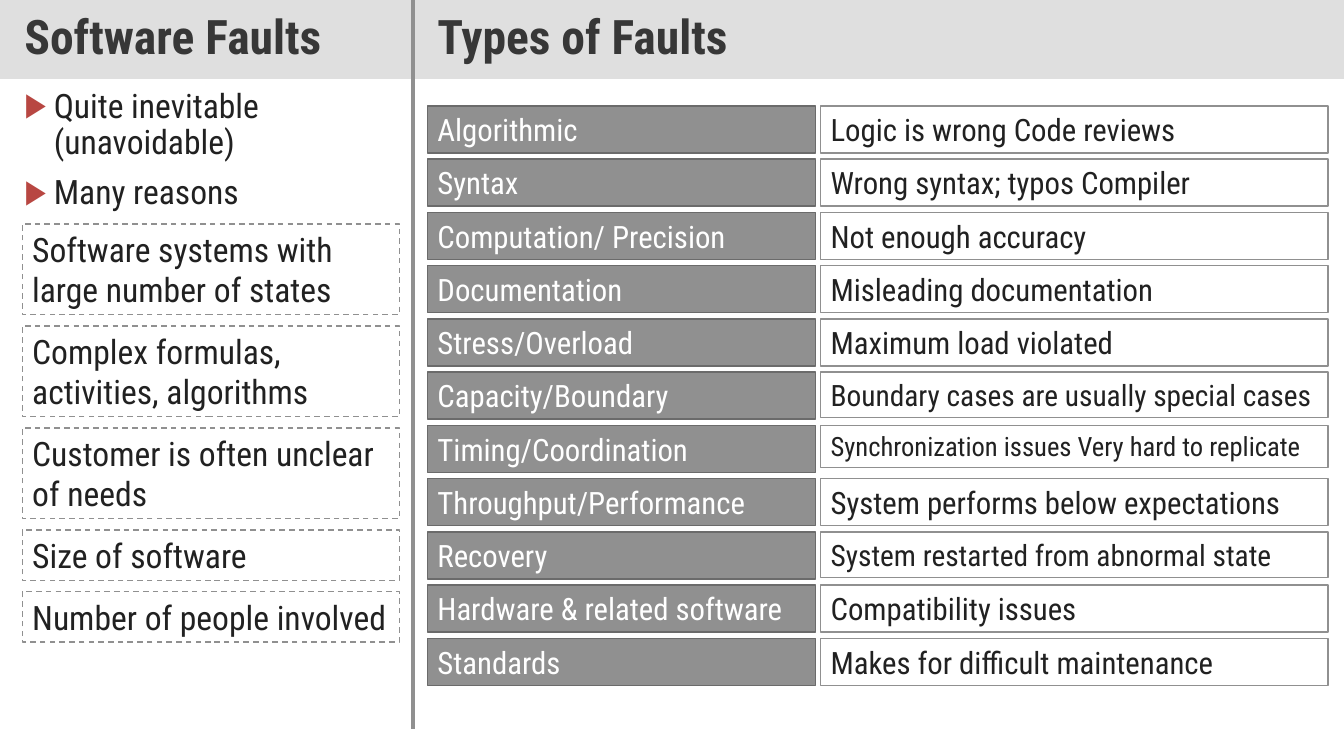
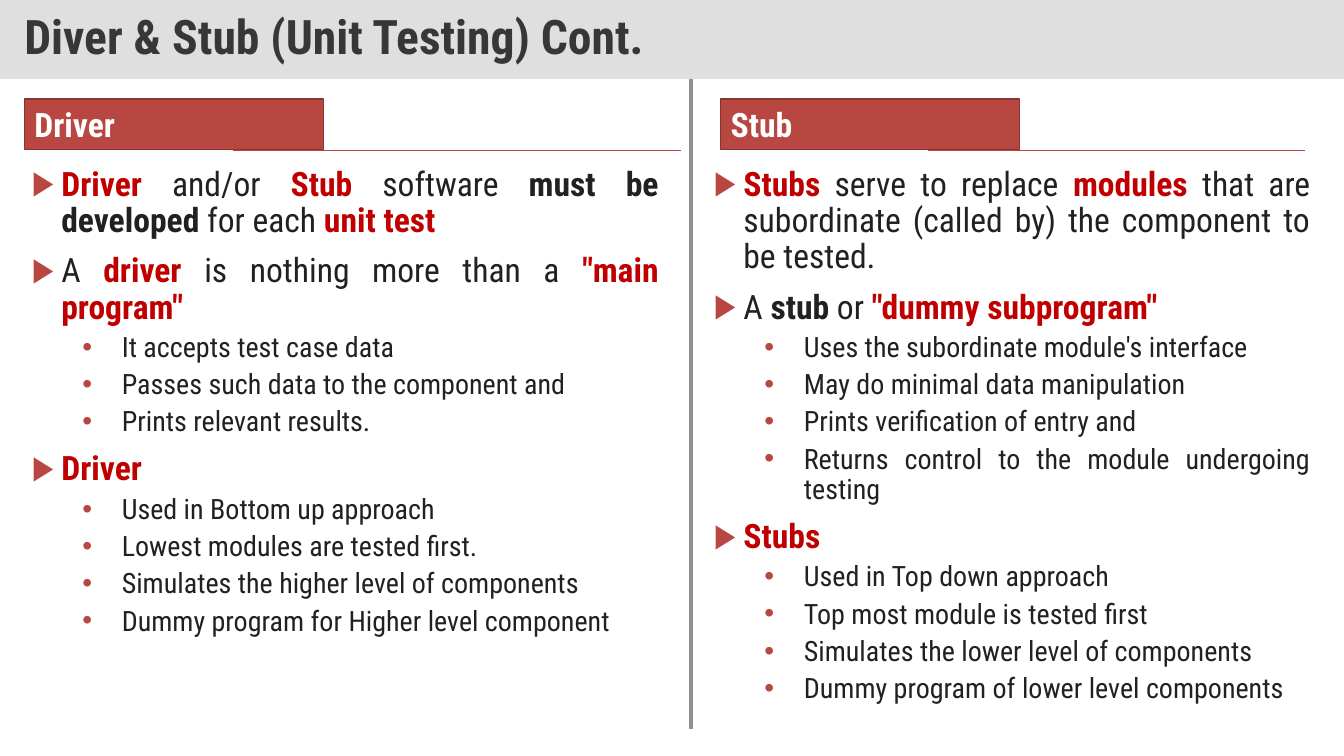
from pptx import Presentation
from pptx.dml.color import RGBColor
from pptx.enum.dml import MSO_LINE
from pptx.enum.shapes import MSO_CONNECTOR, MSO_SHAPE
from pptx.enum.text import MSO_ANCHOR, MSO_AUTO_SIZE, PP_ALIGN
from pptx.oxml.ns import qn
from pptx.util import Inches, Pt
from lxml import etree

RECTANGLE = MSO_SHAPE.RECTANGLE
STRAIGHT = MSO_CONNECTOR.STRAIGHT
DASH = MSO_LINE.DASH
TOP, MIDDLE = MSO_ANCHOR.TOP, MSO_ANCHOR.MIDDLE
LEFT, JUSTIFY = PP_ALIGN.LEFT, PP_ALIGN.JUSTIFY
NO_FIT = MSO_AUTO_SIZE.NONE

COLUMNS, ROWS = 160, 90
SLIDE_WIDTH, SLIDE_HEIGHT = Inches(13.33), Inches(7.5)
CONTENT_BOTTOM = 86.8

FONT = "Roboto Condensed"
INK, HEADING, WHITE = "212121", "373737", "FFFFFF"
GRAY, DARK_GRAY, BAND = "909090", "6B6B6B", "C0C0C0"
RED, DARK_RED, KEY_RED = "B84742", "883531", "C00000"
PLAIN, STRONG, KEY = (INK, False), (INK, True), (KEY_RED, True)
TITLE_SIZE = 34

# marker, left indent, hanging indent, text size, space before
LEVELS = [("▶", 3.5, 3.5, 24, 10), ("•", 10.7, 4.7, 20, 5)]

REASONS = [
    ("Software systems with large number of states", 2),
    ("Complex formulas, activities, algorithms", 2),
    ("Customer is often unclear of needs", 2),
    ("Size of software", 1),
    ("Number of people involved", 1),
]
FAULTS = [
    ("Algorithmic", "Logic is wrong Code reviews", 22),
    ("Syntax", "Wrong syntax; typos Compiler", 22),
    ("Computation/ Precision", "Not enough accuracy", 22),
    ("Documentation", "Misleading documentation", 22),
    ("Stress/Overload", "Maximum load violated", 22),
    ("Capacity/Boundary", "Boundary cases are usually special cases", 21),
    ("Timing/Coordination", "Synchronization issues Very hard to replicate", 19),
    ("Throughput/Performance", "System performs below expectations", 22),
    ("Recovery", "System restarted from abnormal state", 21),
    ("Hardware & related software", "Compatibility issues", 22),
    ("Standards", "Makes for difficult maintenance", 22),
]


def point(*spans):
    return 0, spans


def detail(text):
    return 1, [(text, PLAIN)]


INTRODUCTION = [
    point(("Quite inevitable (unavoidable)", PLAIN)),
    point(("Many reasons", PLAIN)),
]
DRIVER = [
    point(("Driver", KEY), (" and/or ", PLAIN), ("Stub ", KEY), ("software ", PLAIN),
          ("must be developed ", STRONG), ("for each ", PLAIN), ("unit test", KEY)),
    point(("A ", PLAIN), ("driver ", KEY), ("is nothing more than a ", PLAIN),
          ('"main program" ', KEY)),
    detail("It accepts test case data"),
    detail("Passes such data to the component and"),
    detail("Prints relevant results."),
    point(("Driver", KEY)),
    detail("Used in Bottom up approach"),
    detail("Lowest modules are tested first."),
    detail("Simulates the higher level of components"),
    detail("Dummy program for Higher level component"),
]
STUB = [
    point(("Stubs", KEY), (" serve to replace ", PLAIN), ("modules ", KEY),
          ("that are subordinate (called by) the component to be tested.", PLAIN)),
    point(("A ", PLAIN), ("stub", STRONG), (" or ", PLAIN), ('"dummy subprogram" ', KEY)),
    detail("Uses the subordinate module's interface"),
    detail("May do minimal data manipulation"),
    detail("Prints verification of entry and"),
    detail("Returns control to the module undergoing testing"),
    point(("Stubs", KEY)),
    detail("Used in Top down approach"),
    detail("Top most module is tested first"),
    detail("Simulates the lower level of components"),
    detail("Dummy program of lower level components"),
]


def across(columns):
    return round(SLIDE_WIDTH * columns / COLUMNS)


def down(rows):
    return round(SLIDE_HEIGHT * rows / ROWS)


def area(left, top, width, height):
    return across(left), down(top), across(width), down(height)


def color(value):
    return RGBColor.from_string(value)


def place(shape, *cells):
    shape.left, shape.top, shape.width, shape.height = area(*cells)


def paint(fill, value):
    fill.solid()
    fill.fore_color.rgb = color(value)


def add_span(para, text, size, style):
    span = para.add_run()
    span.text = text
    span.font.name = FONT
    span.font.size = Pt(size)
    span.font.color.rgb, span.font.bold = color(style[0]), style[1]


def write_heading(frame, text):
    para = frame.paragraphs[0]
    para.alignment = LEFT
    para.line_spacing = 0.9
    add_span(para, text, TITLE_SIZE, (HEADING, True))


def add_title(page, text):
    title = page.shapes.title
    place(title, 0, 0, COLUMNS, 9.4)
    paint(title.fill, BAND)
    tint = title.fill._xPr.find(".//" + qn("a:srgbClr"))
    etree.SubElement(tint, qn("a:alpha"), val="50000")
    frame = title.text_frame
    frame.auto_size = NO_FIT
    frame.vertical_anchor = MIDDLE
    frame.margin_left = frame.margin_right = across(2.9)
    frame.margin_top = frame.margin_bottom = down(1.4)
    write_heading(frame, text)


def add_side_title(page, text, *cells):
    frame = page.shapes.add_textbox(*area(*cells)).text_frame
    frame.word_wrap = False
    write_heading(frame, text)


def set_bullet(para, marker, left, hang):
    properties = para._p.get_or_add_pPr()
    properties.set("marL", str(across(left)))
    properties.set("indent", str(-across(hang)))
    tint = etree.SubElement(properties, qn("a:buClr"))
    etree.SubElement(tint, qn("a:srgbClr"), val=RED)
    etree.SubElement(properties, qn("a:buChar"), char=marker)


def fill_list(body, items, alignment, *cells):
    place(body, *cells)
    frame = body.text_frame
    frame.auto_size = NO_FIT
    frame.vertical_anchor = TOP
    for index, (level, spans) in enumerate(items):
        marker, left, hang, size, before = LEVELS[level]
        para = frame.add_paragraph() if index else frame.paragraphs[0]
        set_bullet(para, marker, left, hang)
        para.level = level
        para.alignment = alignment
        para.line_spacing = 0.9
        para.space_before = Pt(before if index else 0)
        for text, style in spans:
            add_span(para, text, size, style)


def box_height(size, lines=1):
    return 1.2 + lines * size / 5


def add_box(page, text, left, top, width, fill, line, style=PLAIN, size=24, lines=1, dash=None):
    cells = area(left, top, width, box_height(size, lines))
    box = page.shapes.add_shape(RECTANGLE, *cells)
    box.shadow.inherit = False
    paint(box.fill, fill)
    box.line.color.rgb = color(line)
    box.line.width = Pt(1)
    if dash:
        box.line.dash_style = dash
    frame = box.text_frame
    frame.word_wrap = True
    frame.vertical_anchor = TOP
    frame.paragraphs[0].alignment = LEFT
    add_span(frame.paragraphs[0], text, size, style)


def add_rule(page, start, end, value, weight):
    ends = across(start[0]), down(start[1]), across(end[0]), down(end[1])
    rule = page.shapes.add_connector(STRAIGHT, *ends)
    rule.line.color.rgb = color(value)
    rule.line.width = Pt(weight)
    etree.SubElement(rule._element.spPr, qn("a:effectLst"))


def add_divider(page, column, top):
    add_rule(page, (column, top), (column, CONTENT_BOTTOM), GRAY, 3)


def add_section(page, text, left, rule_start, rule_end):
    add_box(page, text, left, 11.8, 35.6, RED, DARK_RED, (WHITE, True))
    add_rule(page, (rule_start, 17.9), (rule_end, 17.9), RED, 1)


def build_faults(deck):
    page = deck.slides.add_slide(deck.slide_layouts[1])
    add_title(page, "Software Faults")
    fill_list(page.placeholders[1], INTRODUCTION, LEFT, 1.7, 10, 45.8, 13.3)
    top = 26.65
    for text, lines in REASONS:
        add_box(page, text, 2.65, top, 44.9, WHITE, GRAY, lines=lines, dash=DASH)
        top += box_height(24, lines) + 1.35
    add_divider(page, 49.2, 0)
    add_side_title(page, "Types of Faults", 50.9, 1, 37.7, 7.4)
    for row, (kind, meaning, size) in enumerate(FAULTS):
        top = 12.6 + row * 6.34
        add_box(page, kind, 50.9, top, 46.2, GRAY, DARK_GRAY, (WHITE, False), 22)
        add_box(page, meaning, 97.7, top, 60.4, WHITE, GRAY, size=size)


def build_driver_and_stub(deck):
    page = deck.slides.add_slide(deck.slide_layouts[3])
    add_title(page, "Diver & Stub (Unit Testing) Cont.")
    add_section(page, "Driver", 2.9, 27.7, 81.1)
    fill_list(page.placeholders[1], DRIVER, JUSTIFY, 2.6, 19.3, 77, 67.3)
    add_divider(page, 82.3, 9.4)
    add_section(page, "Stub", 85.8, 110.5, 155.3)
    fill_list(page.placeholders[2], STUB, JUSTIFY, 83.8, 19.3, 73.4, 67.3)


def main():
    deck = Presentation()
    deck.slide_width, deck.slide_height = SLIDE_WIDTH, SLIDE_HEIGHT
    build_faults(deck)
    build_driver_and_stub(deck)
    deck.save("out.pptx")


if __name__ == "__main__":
    main()
